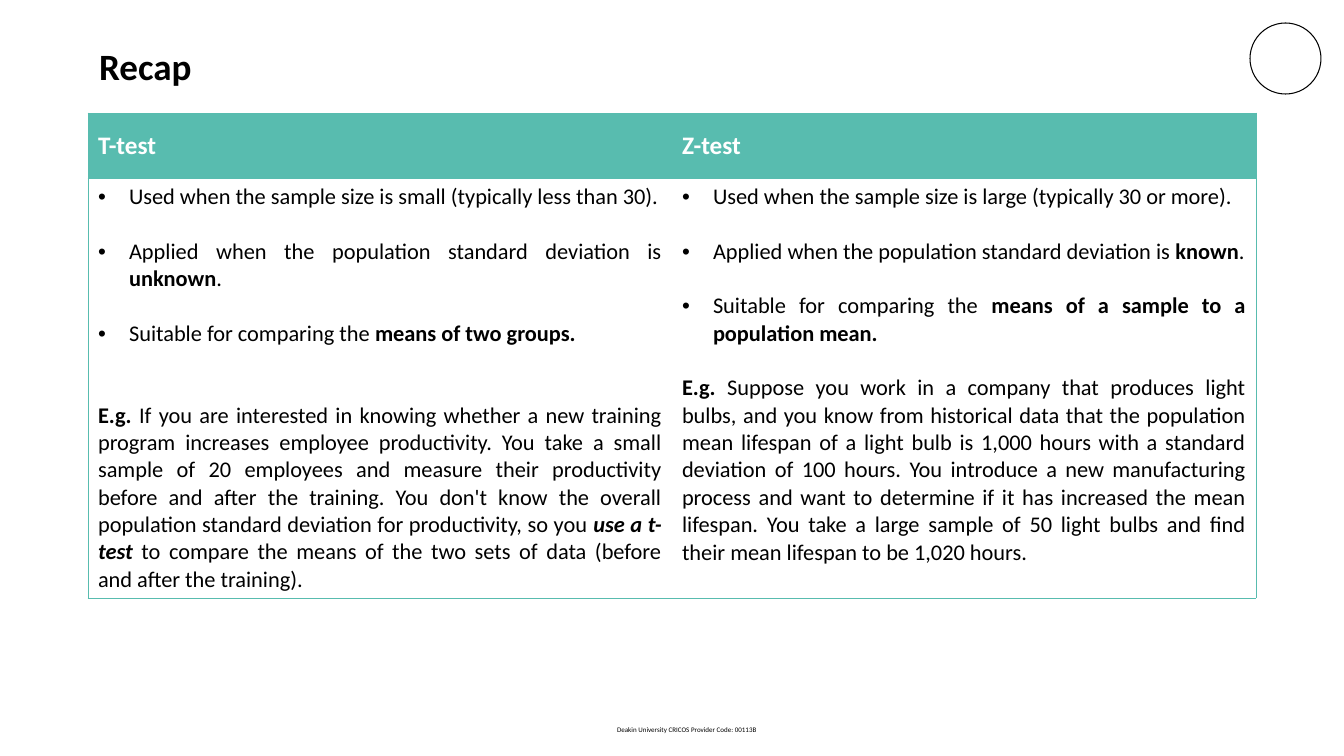
"""Build the recap slide that compares the t-test with the z-test."""
from pptx import Presentation
from pptx.dml.color import RGBColor
from pptx.enum.shapes import MSO_SHAPE as Shape
from pptx.enum.text import MSO_ANCHOR as Anchor, PP_ALIGN as Align
from pptx.oxml.ns import qn
from pptx.util import Pt
from lxml.etree import SubElement

BLACK = RGBColor(0, 0, 0)
WHITE = RGBColor(255, 255, 255)
TEAL = RGBColor(0x58, 0xBC, 0xAF)
FONT = "Calibri"
LINE = 19.5


def px(num):
    return round(num * 914400 / 100.8)


def style(font, size, color, bold=False, slant=False):
    font.name, font.size, font.bold, font.italic = FONT, Pt(size), bold, slant
    font.color.rgb = color


deck = Presentation()
deck.slide_width, deck.slide_height = px(1344), px(756)
slide = deck.slides.add_slide(deck.slide_layouts[6])

ring = slide.shapes.add_shape(Shape.OVAL, px(1250), px(23), px(71), px(71))
ring.shadow.inherit = False
ring.fill.background()
ring.line.color.rgb = BLACK
ring.line.width = Pt(0.75)

labels = [
    ("Recap", (89, 38, 607, 103), 26.5, True, Align.LEFT, 10, 5),
    ("Deakin University CRICOS Provider Code: 00113B",
     (27, 722, 730, 20), 5, False, Align.RIGHT, 0, 4),
]
for text, place, size, bold, align, side, edge in labels:
    frame = slide.shapes.add_textbox(*map(px, place)).text_frame
    frame.word_wrap = True
    frame.margin_left = frame.margin_right = px(side)
    frame.margin_top = frame.margin_bottom = px(edge)
    frame.text = text
    para = frame.paragraphs[0]
    para.alignment = align
    style(para.runs[0].font, size, BLACK, bold)

heads = ["T-test", "Z-test"]
points = [
    [
        [("Used when the sample size is small (typically less than 30).", "")],
        [("Applied when the population standard deviation is ", ""),
         ("unknown", "b"), (".", "")],
        [("Suitable for comparing the ", ""), ("means of two groups.", "b")],
    ],
    [
        [("Used when the sample size is large (typically 30 or more).", "")],
        [("Applied when the population standard deviation is ", ""),
         ("known", "b"), (".", "")],
        [("Suitable for comparing the ", ""),
         ("means of a sample to a population mean.", "b")],
    ],
]
cases = [
    [("E.g. ", "b"),
     ("If you are interested in knowing whether a new training program "
      "increases employee productivity. You take a small sample of 20 "
      "employees and measure their productivity before and after the "
      "training. You don't know the overall population standard deviation "
      "for productivity, so you ", ""),
     ("use a t-test ", "bi"),
     ("to compare the means of the two sets of data (before and after the "
      "training).", "")],
    [("E.g. ", "b"),
     ("Suppose you work in a company that produces light bulbs, and you know "
      "from historical data that the population mean lifespan of a light "
      "bulb is 1,000 hours with a standard deviation of 100 hours. You "
      "introduce a new manufacturing process and want to determine if it has "
      "increased the mean lifespan. You take a large sample of 50 light "
      "bulbs and find their mean lifespan to be 1,020 hours.", "")],
]
gaps = [2, 1]

table = slide.shapes.add_table(2, 2, px(88), px(113), px(1168), px(485)).table
table.rows[0].height, table.rows[1].height = px(65), px(420)

for row in range(2):
    for col in range(2):
        cell = table.cell(row, col)
        props = cell._tc.get_or_add_tcPr()
        sides = {"L": col == 0, "R": col == 1, "T": True, "B": row == 1}
        for side, shown in sides.items():
            edge = SubElement(props, qn("a:ln" + side), w=str(Pt(0.5)))
            if shown:
                fill = SubElement(edge, qn("a:solidFill"))
                SubElement(fill, qn("a:srgbClr"), val=str(TEAL))
            else:
                SubElement(edge, qn("a:noFill"))
        if row == 0:
            cell.fill.solid()
            cell.fill.fore_color.rgb = TEAL
        else:
            cell.fill.background()

for col, head in enumerate(heads):
    cell = table.cell(0, col)
    cell.vertical_anchor = Anchor.MIDDLE
    cell.text_frame.text = head
    style(cell.text_frame.paragraphs[0].runs[0].font, 18, WHITE, True)

    frame = table.cell(1, col).text_frame
    for num, parts in enumerate(points[col] + [cases[col]]):
        para = frame.add_paragraph() if num else frame.paragraphs[0]
        para.alignment = Align.JUSTIFY
        last = num == len(points[col])
        if num:
            para.space_before = Pt(LINE * (gaps[col] if last else 1))
        if not last:
            props = para._p.get_or_add_pPr()
            props.set("marL", str(px(31)))
            props.set("indent", str(-px(31)))
            SubElement(props, qn("a:buFont"), typeface="Arial")
            SubElement(props, qn("a:buChar"), char="•")
        for text, look in parts:
            run = para.add_run()
            run.text = text
            style(run.font, 16, BLACK, "b" in look, "i" in look)

deck.save("out.pptx")
